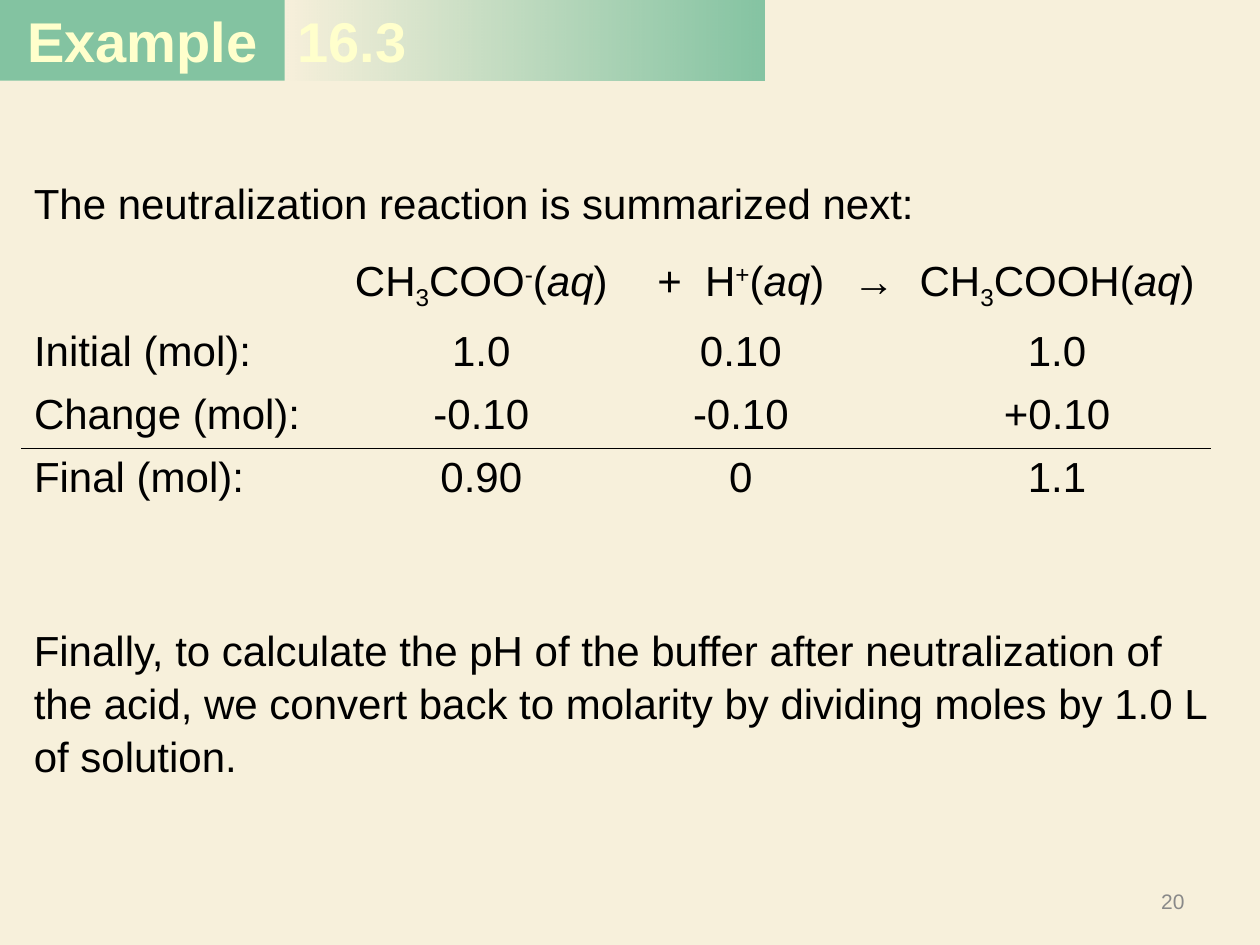
from lxml import etree
from pptx import Presentation
from pptx.dml.color import RGBColor
from pptx.enum import shapes, text
from pptx.oxml import ns
from pptx.util import Inches, Pt

COLORS = {"background": "F7F0DB", "green": "109769", "heading": "FFFFCC",
          "text": "000000", "number": "898989"}
FONT = "Arial"
LEFT, CENTER, RIGHT = text.PP_ALIGN.LEFT, text.PP_ALIGN.CENTER, text.PP_ALIGN.RIGHT
NO_GRID_STYLE = "{2D5ABB26-0587-4C30-8999-92F81FD0307C}"
SUB, SUP = -25000, 30000
BAND_HEIGHT = 0.64

# Each formula is a list of (text, style); style is None, "i" or a baseline shift
AQUEOUS = [("(", None), ("aq", "i"), (")", None)]
ACETATE = [("CH", None), ("3", SUB), ("COO", None), ("-", SUP)] + AQUEOUS
PROTON = [("+  H", None), ("+", SUP)] + AQUEOUS
ACETIC_ACID = [("CH", None), ("3", SUB), ("COOH", None)] + AQUEOUS

REACTION_ROWS = [
    ["", ACETATE, PROTON, "→", ACETIC_ACID],
    ["Initial (mol):", "1.0", "0.10", "", "1.0"],
    ["Change (mol):", "-0.10", "-0.10", "", "+0.10"],
    ["Final (mol):", "0.90", "0", "", "1.1"],
]
COLUMN_WIDTHS = [2.38, 2.54, 1.58, 0.5, 2.44]
ROW_HEIGHTS = [0.56, 0.5, 0.5, 0.5]
CHANGE_ROW, FINAL_ROW = 2, 3


def rgb(name):
    return RGBColor.from_string(COLORS[name])


def write(paragraph, content, size=24, color="text", bold=False, align=LEFT):
    """Write a string or a list of styled pieces into a paragraph."""
    paragraph.alignment = align
    pieces = [(content, None)] if isinstance(content, str) else content
    for piece, style in pieces:
        run = paragraph.add_run()
        run.text = piece
        font = run.font
        font.name, font.size, font.bold = FONT, Pt(size), bold
        font.italic = style == "i"
        font.color.rgb = rgb(color)
        if style in (SUB, SUP):
            font._element.set("baseline", str(style))


def set_alpha(shape, percents):
    """Give the fill colours of a shape their opacity, in order."""
    for color, percent in zip(shape._element.spPr.iter(ns.qn("a:srgbClr")), percents):
        etree.SubElement(color, ns.qn("a:alpha")).set("val", str(percent * 1000))


def add_band(slide, left, width):
    band = slide.shapes.add_shape(shapes.MSO_SHAPE.RECTANGLE, Inches(left), 0,
                                  Inches(width), Inches(BAND_HEIGHT))
    band.shadow.inherit = False
    band.line.fill.background()
    return band


def add_text_box(slide, left, top, width, height, anchor=text.MSO_ANCHOR.TOP):
    frame = slide.shapes.add_textbox(Inches(left), Inches(top),
                                     Inches(width), Inches(height)).text_frame
    frame.word_wrap = True
    frame.vertical_anchor = anchor
    return frame


def add_header(slide):
    # Solid label
    label = add_band(slide, 0, 2.26)
    label.fill.solid()
    label.fill.fore_color.rgb = rgb("green")
    set_alpha(label, [50])
    label.text_frame.vertical_anchor = text.MSO_ANCHOR.TOP
    write(label.text_frame.paragraphs[0], "Example", size=32, color="heading",
          bold=True, align=CENTER)

    # Fading band
    fade = add_band(slide, 2.26, 3.81)
    fade.fill.gradient()
    fade.fill.gradient_angle = 0
    for stop in fade.fill.gradient_stops:
        stop.color.rgb = rgb("green")
    set_alpha(fade, [0, 50])

    # Example number, in front of the band
    title = slide.shapes.title
    title.left, title.top, title.width, title.height = (
        fade.left, fade.top, fade.width, fade.height)
    title.text_frame.vertical_anchor = text.MSO_ANCHOR.TOP
    write(title.text_frame.paragraphs[0], "16.3", size=32, color="heading", bold=True)
    slide.shapes._spTree.append(title._element)


def add_explanation(slide):
    frame = add_text_box(slide, 0.17, 0.83, 9.63, 6.42)
    frame.margin_top = Inches(0.56)
    write(frame.paragraphs[0], "The neutralization reaction is summarized next:")
    conclusion = frame.add_paragraph()
    conclusion.space_before = Pt(225)
    write(conclusion, "Finally, to calculate the pH of the buffer after neutralization of "
                      "the acid, we convert back to molarity by dividing moles by 1.0 L "
                      "of solution.")
    for paragraph in frame.paragraphs:
        paragraph.line_spacing = 1.05


def add_rule(cell, side):
    """Draw a thin border on one side of a cell: lnT or lnB."""
    line = etree.Element(ns.qn("a:" + side), w=str(Pt(0.45)))
    fill = etree.SubElement(line, ns.qn("a:solidFill"))
    etree.SubElement(fill, ns.qn("a:srgbClr")).set("val", COLORS["text"])
    cell._tc.get_or_add_tcPr().insert(0, line)


def add_reaction_table(slide):
    frame = slide.shapes.add_table(len(ROW_HEIGHTS), len(COLUMN_WIDTHS), Inches(0.17),
                                   Inches(2), Inches(sum(COLUMN_WIDTHS)),
                                   Inches(sum(ROW_HEIGHTS)))
    table = frame.table
    table.first_row = table.horz_banding = False
    table._tbl.tblPr.find(ns.qn("a:tableStyleId")).text = NO_GRID_STYLE
    for column, width in zip(table.columns, COLUMN_WIDTHS):
        column.width = Inches(width)
    for r, (height, row) in enumerate(zip(ROW_HEIGHTS, REACTION_ROWS)):
        table.rows[r].height = Inches(height)
        for c, content in enumerate(row):
            cell = table.cell(r, c)
            cell.fill.background()
            if content:
                write(cell.text_frame.paragraphs[0], content,
                      align=CENTER if c else LEFT)
            if r == CHANGE_ROW:
                add_rule(cell, "lnB")
            elif r == FINAL_ROW:
                add_rule(cell, "lnT")


def add_slide_number(slide):
    frame = add_text_box(slide, 7.17, 6.95, 2.33, 0.4, anchor=text.MSO_ANCHOR.MIDDLE)
    write(frame.paragraphs[0], "20", size=12, color="number", align=RIGHT)


def main():
    deck = Presentation()
    deck.slide_width, deck.slide_height = Inches(10), Inches(7.5)
    slide = deck.slides.add_slide(deck.slide_layouts[5])
    slide.background.fill.solid()
    slide.background.fill.fore_color.rgb = rgb("background")
    add_header(slide)
    add_slide_number(slide)
    add_explanation(slide)
    add_reaction_table(slide)
    deck.save("out.pptx")


if __name__ == "__main__":
    main()
